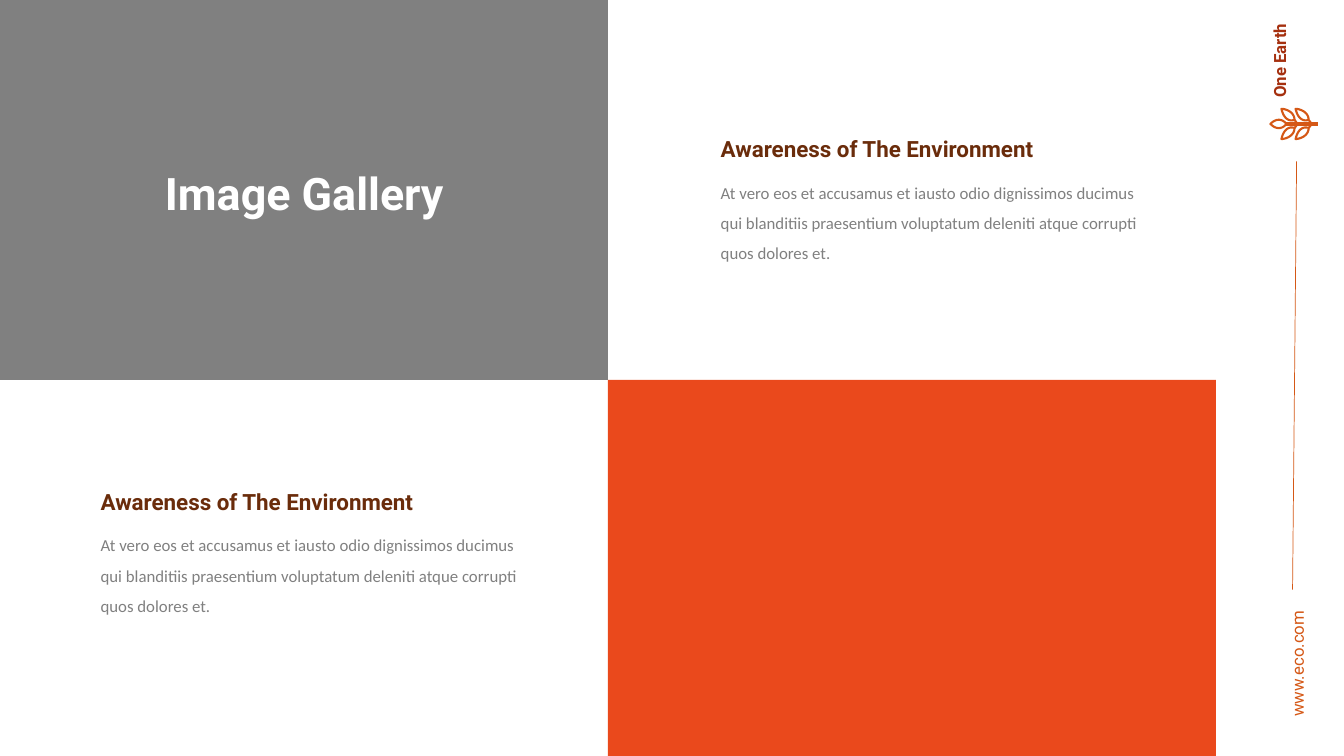
from lxml import etree
from pptx import Presentation
from pptx.dml.color import RGBColor
from pptx.enum import shapes, text
from pptx.oxml import ns
from pptx.util import Inches, Pt

COLORS = {
    "gray": "808080", "orange": "EA491C", "rust": "D55816",
    "red": "A5300F", "brown": "6A2C0B", "white": "FFFFFF",
}
TITLE = "Image Gallery"
HEADING = "Awareness of The Environment"
BODY = ("At vero eos et accusamus et iausto odio dignissimos ducimus qui "
        "blanditiis praesentium voluptatum deleniti atque corrupti quos dolores et.")
PANELS = [(0, 0, 6.03, 3.77, "gray"), (6.03, 3.77, 6.03, 3.73, "orange")]
ARTICLES = [(0.9, 4.79), (7.05, 1.29)]
SIDE_LABELS = [
    ("www.eco.com", (11.93, 6.17, 1.77, 0.31), "rust", False, 1.5, text.MSO_ANCHOR.MIDDLE),
    ("One Earth", (12.29, 0.32, 1, 0.5), "red", True, 1, text.MSO_ANCHOR.TOP),
]
STEM_Y = 1.23
LEAF_STEP = 0.14
TIP_LEAF = [
    [(12.6, 0), (12.66, -0.06), (12.72, -0.05), (12.76, 0)],
    [(12.76, 0), (12.72, 0.05), (12.66, 0.06), (12.6, 0)],
]
SIDE_LEAF = [
    [(12.71, -0.15), (12.75, -0.15), (12.84, -0.12), (12.84, -0.04)],
    [(12.84, -0.04), (12.78, -0.02), (12.73, -0.06), (12.71, -0.15)],
]

deck = Presentation()
deck.slide_width, deck.slide_height = Inches(13.33), Inches(7.5)
page = deck.slides.add_slide(deck.slide_layouts[6])


def color(name):
    return RGBColor.from_string(COLORS[name])


def add_text(words, frame, font, size, ink, bold=False, spacing=1,
             anchor=text.MSO_ANCHOR.TOP, align=text.PP_ALIGN.LEFT):
    box = page.shapes.add_textbox(*map(Inches, frame))
    box.text_frame.word_wrap = True
    box.text_frame.vertical_anchor = anchor
    para = box.text_frame.paragraphs[0]
    para.text = words
    para.alignment = align
    para.line_spacing = spacing
    para.font.name, para.font.size, para.font.bold = font, Pt(size), bold
    para.font.color.rgb = color(ink)
    return box


def add_line(start, end, width):
    line = page.shapes.add_connector(
        shapes.MSO_CONNECTOR.STRAIGHT, *map(Inches, start + end))
    line.line.color.rgb = color("rust")
    line.line.width = Pt(width)
    etree.SubElement(line._element.spPr, ns.qn("a:effectLst"))


def curve_point(curve, t):
    weights = ((1 - t) ** 3, 3 * t * (1 - t) ** 2, 3 * t * t * (1 - t), t ** 3)
    return tuple(sum(w * p[axis] for w, p in zip(weights, curve)) for axis in (0, 1))


def add_leaf(curves, shift=0, side=1):
    points = [curve_point(curve, step / 12) for curve in curves for step in range(12)]
    outline = [(Inches(x + shift), Inches(STEM_Y + side * y)) for x, y in points]
    builder = page.shapes.build_freeform(*outline[0], scale=1)
    builder.add_line_segments(outline[1:], close=True)
    leaf = builder.convert_to_shape()
    leaf.shadow.inherit = False
    leaf.fill.background()
    leaf.line.color.rgb = color("rust")
    leaf.line.width = Pt(1.5)


for words, frame, ink, bold, spacing, anchor in SIDE_LABELS:
    label = add_text(words, frame, "Roboto", 12, ink, bold, spacing, anchor)
    label.rotation = 270

add_leaf(TIP_LEAF)
add_line((12.75, STEM_Y), (13.07, STEM_Y), 2.25)
for shift in (0, LEAF_STEP):
    for side in (-1, 1):
        add_leaf(SIDE_LEAF, shift, side)
        add_line((12.84 + shift, STEM_Y - side * 0.04), (12.87 + shift, STEM_Y), 1.5)
add_line((12.86, 1.6), (12.82, 5.85), 0.5)

for left, top, width, height, fill in PANELS:
    panel = page.shapes.add_shape(
        shapes.MSO_SHAPE.RECTANGLE, *map(Inches, (left, top, width, height)))
    panel.shadow.inherit = False
    panel.fill.solid()
    panel.fill.fore_color.rgb = color(fill)
    panel.line.fill.background()

add_text(TITLE, (1.29, 1.22, 3.46, 1.45), "Roboto", 32, "white", True, 0.9,
         text.MSO_ANCHOR.MIDDLE, text.PP_ALIGN.CENTER)
for left, top in ARTICLES:
    add_text(HEADING, (left, top, 3.7, 0.37), "Roboto", 16, "brown", True)
    add_text(BODY, (left, top + 0.37, 4.46, 1.01), "Calibri", 12, "gray", spacing=1.5)

deck.save("out.pptx")
